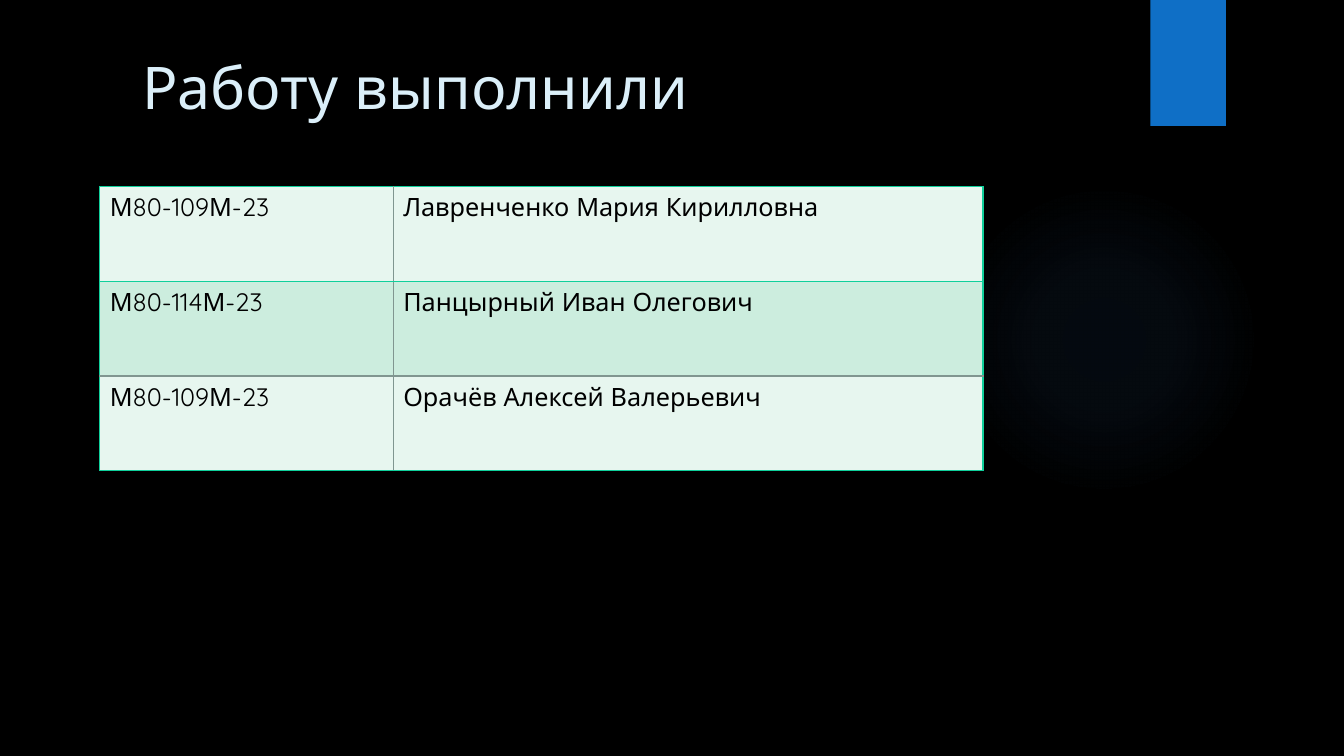
from lxml import etree
from pptx import Presentation
from pptx.dml.color import RGBColor
from pptx.enum.shapes import MSO_SHAPE as SHAPE
from pptx.enum.text import MSO_ANCHOR as ANCHOR, PP_ALIGN as ALIGN
from pptx.oxml import parse_xml
from pptx.oxml.ns import nsdecls, qn
from pptx.util import Inches, Pt

BLACK = RGBColor(0x00, 0x00, 0x00)
BLUE = RGBColor(0x0F, 0x6F, 0xC6)
GLOW = RGBColor(0x44, 0x8A, 0xD7)
TITLE = RGBColor(0xDB, 0xEF, 0xF9)
GREEN = RGBColor(0x10, 0xCF, 0x9B)
GRAY = RGBColor(0x80, 0x96, 0x90)
BANDS = [RGBColor(0xE7, 0xF6, 0xEF), RGBColor(0xCC, 0xED, 0xDE)]
FONT = "Quicksand"

AUTHORS = [
    ("М80-109М-23", "Лавренченко Мария Кирилловна"),
    ("М80-114М-23", "Панцырный Иван Олегович"),
    ("М80-109М-23", "Орачёв Алексей Валерьевич"),
]
COL_WIDTHS = [2.91, 5.85]
ROW_HEIGHT = 0.94


def style_text(p, size, color):
    p.alignment = ALIGN.LEFT
    p.font.name, p.font.size, p.font.color.rgb = FONT, Pt(size), color


def add_block(s, kind, x, y, w, h, color):
    sp = s.shapes.add_shape(kind, Inches(x), Inches(y), Inches(w), Inches(h))
    sp.shadow.inherit = False
    sp.fill.solid()
    sp.fill.fore_color.rgb = color
    sp.line.fill.background()
    return sp


def add_glow(s, x, y, size):
    sp = add_block(s, SHAPE.OVAL, x, y, size, size, GLOW)
    stops = "".join(
        f'<a:gs pos="{pos * 1000}"><a:srgbClr val="{GLOW}">'
        f'<a:alpha val="{alpha * 1000}"/></a:srgbClr></a:gs>'
        for pos, alpha in [(0, 7), (36, 6), (69, 0)])
    grad = parse_xml(
        f'<a:gradFill {nsdecls("a")}><a:gsLst>{stops}</a:gsLst>'
        '<a:path path="circle"><a:fillToRect l="50000" t="50000" '
        'r="50000" b="50000"/></a:path></a:gradFill>')
    props = sp.element.spPr
    props.replace(props.find(qn("a:solidFill")), grad)


def set_title(s, text):
    sp = s.shapes.title
    sp.left, sp.top = Inches(1.31), Inches(0.45)
    sp.width, sp.height = Inches(10.29), Inches(1.53)
    tf = sp.text_frame
    tf.text = text
    tf.vertical_anchor = ANCHOR.TOP
    style_text(tf.paragraphs[0], 42, TITLE)


def set_border(cell, side, color):
    ln = etree.SubElement(cell._tc.get_or_add_tcPr(), qn(f"a:ln{side}"),
                          w=str(Pt(1)))
    fill = etree.SubElement(ln, qn("a:solidFill"))
    etree.SubElement(fill, qn("a:srgbClr"), val=str(color))


def add_authors(s, x, y):
    rows, cols = len(AUTHORS), len(COL_WIDTHS)
    table = s.shapes.add_table(rows, cols, Inches(x), Inches(y),
                               Inches(sum(COL_WIDTHS)),
                               Inches(rows * ROW_HEIGHT)).table
    table.first_row = table.horz_banding = False
    for col, width in zip(table.columns, COL_WIDTHS):
        col.width = Inches(width)
    for i, author in enumerate(AUTHORS):
        table.rows[i].height = Inches(ROW_HEIGHT)
        for j, text in enumerate(author):
            cell = table.cell(i, j)
            cell.text = text
            style_text(cell.text_frame.paragraphs[0], 18, BLACK)
            # Green outline and line under the first row, gray elsewhere
            green_sides = {"L": j == 0, "R": j == cols - 1,
                           "T": i < 2, "B": i in (0, rows - 1)}
            for side, is_green in green_sides.items():
                set_border(cell, side, GREEN if is_green else GRAY)
            cell.fill.solid()
            cell.fill.fore_color.rgb = BANDS[i % 2]


def main():
    prs = Presentation()
    prs.slide_width, prs.slide_height = Inches(13.33), Inches(7.5)
    s = prs.slides.add_slide(prs.slide_layouts[5])

    # Background and decoration
    s.background.fill.solid()
    s.background.fill.fore_color.rgb = BLACK
    add_glow(s, 9.41, 1.83, 3.08)
    add_block(s, SHAPE.RECTANGLE, 11.41, 0, 0.75, 1.25, BLUE)

    # Title and table of authors
    set_title(s, "Работу выполнили")
    add_authors(s, 0.99, 1.85)

    prs.save("out.pptx")


if __name__ == "__main__":
    main()
